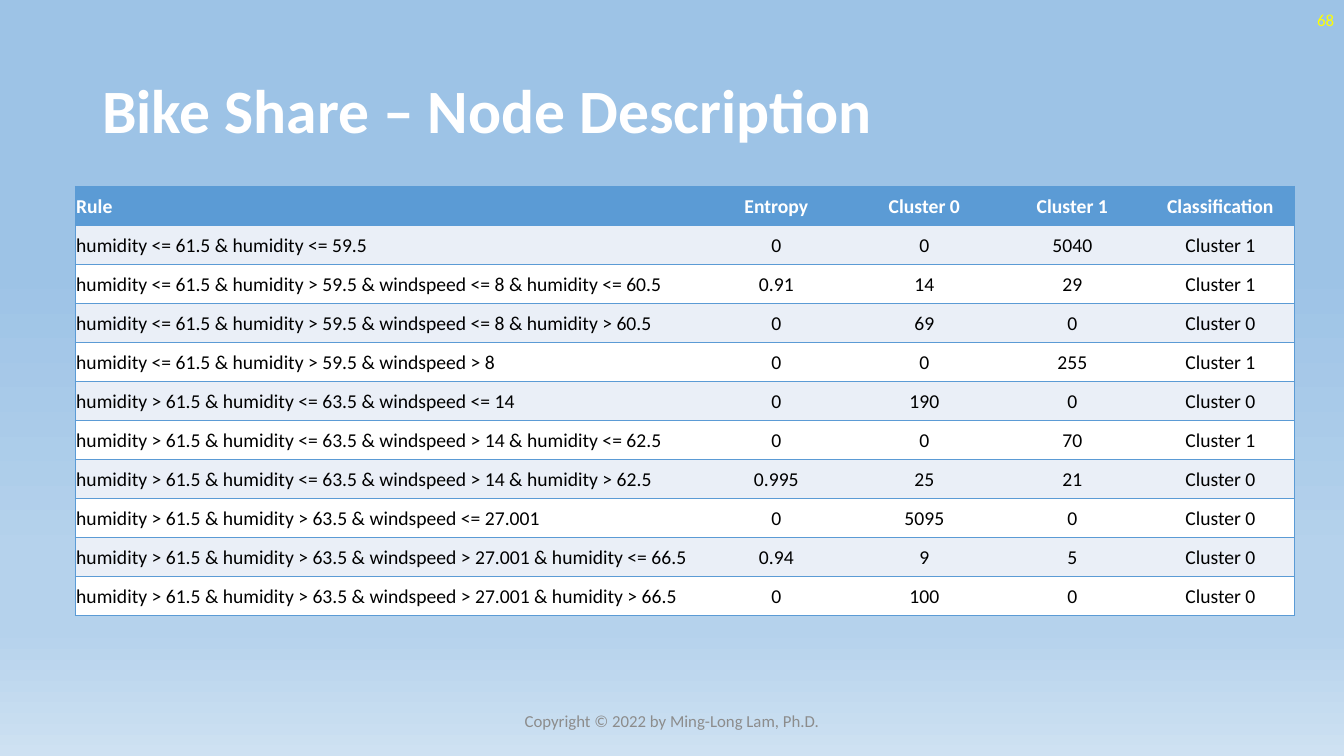
import pptx
import pptx.dml.color
import pptx.enum.text
import pptx.oxml.ns
import pptx.util
from lxml import etree

Cm = pptx.util.Cm
Pt = pptx.util.Pt
RGB = pptx.dml.color.RGBColor.from_string
qn = pptx.oxml.ns.qn
ALIGN = pptx.enum.text.PP_ALIGN
MIDDLE = pptx.enum.text.MSO_ANCHOR.MIDDLE

COLORS = {
    "white": "FFFFFF", "black": "000000", "blue": "5B9BD5", "band": "EAEFF7",
    "gray": "8C8C8C", "yellow": "FFFF00",
    "sky": "9DC3E6", "haze": "B5D2EC", "horizon": "CEE1F2",
}
SKY_STOPS = [(35, "sky"), (74, "haze"), (83, "haze"), (100, "horizon")]
COLUMN_WIDTHS = [15.8] + [3.73] * 4
NODES = [
    ("Rule", "Entropy", "Cluster 0", "Cluster 1", "Classification"),
    ("humidity <= 61.5 & humidity <= 59.5", "0", "0", "5040", "Cluster 1"),
    ("humidity <= 61.5 & humidity > 59.5 & windspeed <= 8 & humidity <= 60.5",
     "0.91", "14", "29", "Cluster 1"),
    ("humidity <= 61.5 & humidity > 59.5 & windspeed <= 8 & humidity > 60.5",
     "0", "69", "0", "Cluster 0"),
    ("humidity <= 61.5 & humidity > 59.5 & windspeed > 8",
     "0", "0", "255", "Cluster 1"),
    ("humidity > 61.5 & humidity <= 63.5 & windspeed <= 14",
     "0", "190", "0", "Cluster 0"),
    ("humidity > 61.5 & humidity <= 63.5 & windspeed > 14 & humidity <= 62.5",
     "0", "0", "70", "Cluster 1"),
    ("humidity > 61.5 & humidity <= 63.5 & windspeed > 14 & humidity > 62.5",
     "0.995", "25", "21", "Cluster 0"),
    ("humidity > 61.5 & humidity > 63.5 & windspeed <= 27.001",
     "0", "5095", "0", "Cluster 0"),
    ("humidity > 61.5 & humidity > 63.5 & windspeed > 27.001 & humidity <= 66.5",
     "0.94", "9", "5", "Cluster 0"),
    ("humidity > 61.5 & humidity > 63.5 & windspeed > 27.001 & humidity > 66.5",
     "0", "100", "0", "Cluster 0"),
]


class Deck:
    """Holds the text style and the current slide."""

    font = "Calibri"

    def __init__(self, prs):
        self.s = prs.slides.add_slide(prs.slide_layouts[6])

    def background(self, stops):
        fill = self.s.background.fill
        fill.gradient()
        fill.gradient_angle = 270
        stop_list = next(self.s.element.iter(qn("a:gsLst")))
        for old in list(stop_list):
            stop_list.remove(old)
        for percent, color in stops:
            stop = etree.SubElement(stop_list, qn("a:gs"), pos=str(percent * 1000))
            etree.SubElement(stop, qn("a:srgbClr"), val=COLORS[color])

    def add_run(self, tf, text, size, color, align=ALIGN.LEFT, bold=False):
        p = tf.paragraphs[0]
        p.alignment = align
        r = p.add_run()
        r.text = text
        style = {"name": self.font, "size": Pt(size), "bold": bold}
        for name, value in style.items():
            setattr(r.font, name, value)
        r.font.color.rgb = RGB(COLORS[color])
        return p

    def text(self, box, text, size, color, **style):
        tf = self.s.shapes.add_textbox(*map(Cm, box)).text_frame
        tf.word_wrap = True
        tf.vertical_anchor = MIDDLE
        return self.add_run(tf, text, size, color, **style)

    def border(self, cell, sides):
        props = cell._tc.get_or_add_tcPr()
        for side in "LRTB":
            line = etree.SubElement(props, qn("a:ln" + side), w=str(Pt(1)))
            if side in sides:
                fill = etree.SubElement(line, qn("a:solidFill"))
                etree.SubElement(fill, qn("a:srgbClr"), val=COLORS["blue"])
            else:
                etree.SubElement(line, qn("a:noFill"))

    def table(self, box, rows, widths):
        table = self.s.shapes.add_table(len(rows), len(widths), *map(Cm, box)).table
        table.first_row = table.horz_banding = False
        for column, width in zip(table.columns, widths):
            column.width = Cm(width)
        cell_format = {
            "vertical_anchor": MIDDLE, "margin_left": Cm(0.02),
            "margin_right": Cm(0.02), "margin_top": Cm(0.02), "margin_bottom": 0,
        }
        last = len(widths) - 1
        for i, row in enumerate(rows):
            header = i == 0
            fill = "blue" if header else "band" if i % 2 else "white"
            for j, text in enumerate(row):
                cell = table.cell(i, j)
                for name, value in cell_format.items():
                    setattr(cell, name, value)
                self.border(cell, "TB" + {0: "L", last: "R"}.get(j, ""))
                cell.fill.solid()
                cell.fill.fore_color.rgb = RGB(COLORS[fill])
                self.add_run(cell.text_frame, text, 14,
                             "white" if header else "black",
                             ALIGN.CENTER if j else ALIGN.LEFT, header)


def main():
    prs = pptx.Presentation()
    prs.slide_width, prs.slide_height = Cm(33.87), Cm(19.05)
    deck = Deck(prs)
    deck.background(SKY_STOPS)

    # Title
    title = deck.text((2.33, 1.01, 29.21, 3.68), "Bike Share – Node Description",
                      44, "white", bold=True)
    title.line_spacing = 0.9

    # Node table
    deck.table((1.9, 4.7, 30.72, 10.82), NODES, COLUMN_WIDTHS)

    # Footer and slide number
    deck.text((11.22, 17.66, 11.43, 1.01), "Copyright © 2022 by Ming-Long Lam, Ph.D.",
              12, "gray", align=ALIGN.CENTER)
    deck.text((26.25, 0, 7.62, 1.01), "68", 12, "yellow", align=ALIGN.RIGHT)

    prs.save("out.pptx")


if __name__ == "__main__":
    main()
